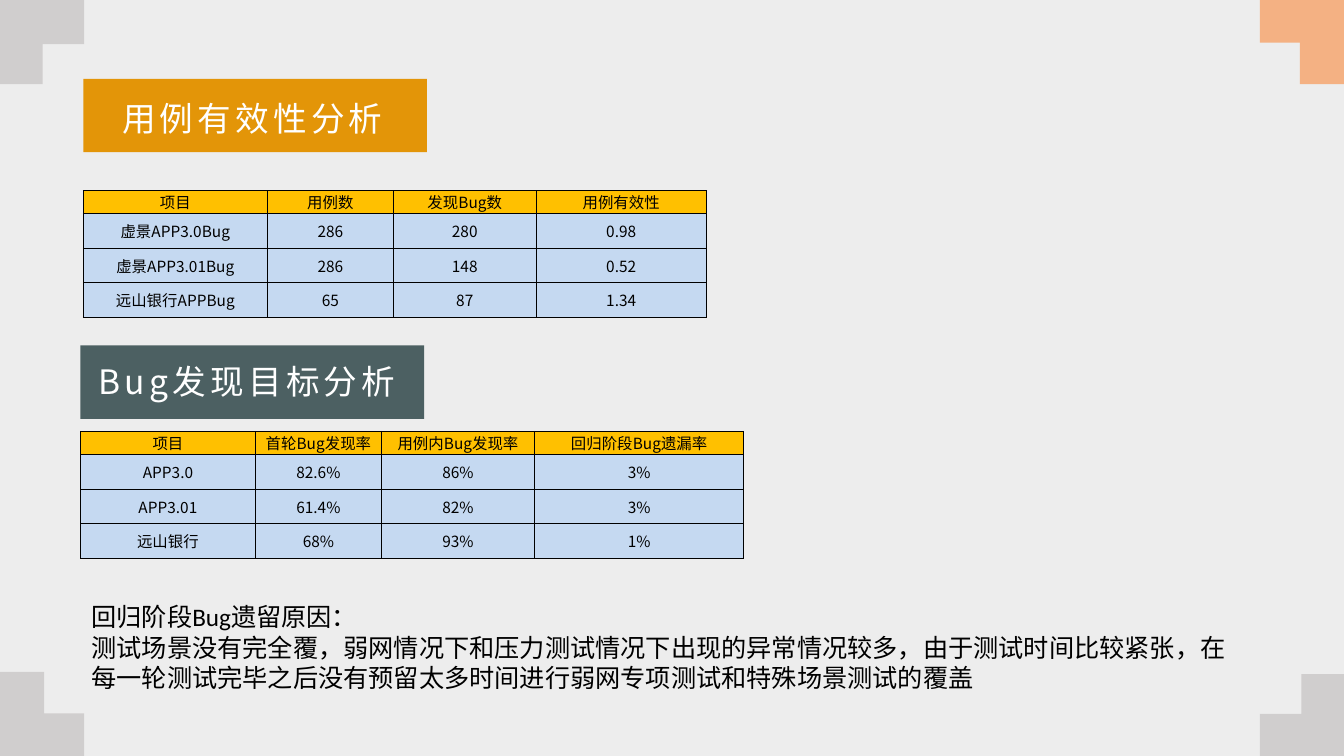
from dataclasses import dataclass

from lxml import etree
from pptx import Presentation
from pptx.dml.color import RGBColor
from pptx.enum.shapes import MSO_SHAPE
from pptx.enum.text import MSO_ANCHOR, MSO_AUTO_SIZE, PP_ALIGN
from pptx.oxml.ns import qn
from pptx.shapes.autoshape import Shape
from pptx.slide import Slide
from pptx.table import _Cell
from pptx.text.text import TextFrame, _Paragraph
from pptx.util import Pt

RECTANGLE = MSO_SHAPE.RECTANGLE
TOP, MIDDLE = MSO_ANCHOR.TOP, MSO_ANCHOR.MIDDLE
LEFT, CENTER = PP_ALIGN.LEFT, PP_ALIGN.CENTER
FIT_SHAPE = MSO_AUTO_SIZE.SHAPE_TO_FIT_TEXT

COLORS = {
    "background": "EDEDED",
    "grey": "D0CECE",
    "peach": "F4B183",
    "orange": "E39508",
    "slate": "4C6062",
    "header": "FFC000",
    "body": "C5D9F1",
    "white": "FFFFFF",
    "black": "000000",
}
CJK_FONT = "Noto Sans CJK SC"
NOTE_FONT = "Calibri"
SLIDE_WIDTH, SLIDE_HEIGHT = 960, 540
CORNER_SIZE = 60
CORNER_OUTLINE = [(0, 0), (31.5, 0), (31.5, 29.5), (60, 29.5), (60, 60), (0, 60)]
BANNER_WIDTH, BANNER_HEIGHT = 245.5, 52.5
HEADING_HEIGHT = 36
HEADER_ROW, BODY_ROW = 16.4, 24.8


@dataclass(frozen=True)
class Corner:
    left: float
    top: float
    quarter_turns: int
    color: str


@dataclass(frozen=True)
class Banner:
    text: str
    left: float
    top: float
    color: str
    text_left: float
    text_top: float
    text_width: float


@dataclass(frozen=True)
class Grid:
    left: float
    top: float
    columns: list[float]
    rows: list[list[str]]


CORNERS = [
    Corner(0, 480, 0, "grey"),
    Corner(0, 0, 1, "grey"),
    Corner(900, 0, 2, "peach"),
    Corner(900, 481.5, 3, "grey"),
]
CASE_BANNER = Banner("用例有效性分析", 59.5, 56.3, "orange", 80, 66, 205)
BUG_BANNER = Banner("Bug发现目标分析", 57.5, 246.8, "slate", 63.4, 254.2, 232.6)
GRIDS = [
    Grid(59.5, 136, [131.5, 90, 102, 121.5], [
        ["项目", "用例数", "发现Bug数", "用例有效性"],
        ["虚景APP3.0Bug", "286", "280", "0.98"],
        ["虚景APP3.01Bug", "286", "148", "0.52"],
        ["远山银行APPBug", "65", "87", "1.34"],
    ]),
    Grid(57.5, 308, [125, 90, 109.4, 149.4], [
        ["项目", "首轮Bug发现率", "用例内Bug发现率", "回归阶段Bug遗漏率"],
        ["APP3.0", "82.6%", "86%", "3%"],
        ["APP3.01", "61.4%", "82%", "3%"],
        ["远山银行", "68%", "93%", "1%"],
    ]),
]
NOTES = [
    "回归阶段Bug遗留原因：",
    "测试场景没有完全覆，弱网情况下和压力测试情况下出现的异常情况较多，由于测试时间比较紧张，"
    "在每一轮测试完毕之后没有预留太多时间进行弱网专项测试和特殊场景测试的覆盖",
]


def rgb(name: str) -> RGBColor:
    return RGBColor.from_string(COLORS[name])


def paint(shape: Shape, color: str) -> None:
    shape.shadow.inherit = False
    shape.fill.solid()
    shape.fill.fore_color.rgb = rgb(color)
    shape.line.fill.background()


def add_run(paragraph: _Paragraph, text: str, size: float, font: str,
            color: str, spacing: float = 0) -> None:
    """Add a run with one font for Latin and Chinese; spacing is in points."""
    run = paragraph.add_run()
    run.text = text
    run.font.size = Pt(size)
    run.font.name = font
    run.font.color.rgb = rgb(color)
    properties = run.font._element
    etree.SubElement(properties, qn("a:ea")).set("typeface", font)
    if spacing:
        properties.set("spc", str(round(spacing * 100)))


def add_corner(slide: Slide, corner: Corner) -> None:
    outline = CORNER_OUTLINE
    for _ in range(corner.quarter_turns):
        outline = [(CORNER_SIZE - y, x) for x, y in outline]
    points = [(Pt(corner.left + x), Pt(corner.top + y)) for x, y in outline]
    builder = slide.shapes.build_freeform(*points[0])
    builder.add_line_segments(points[1:], close=True)
    paint(builder.convert_to_shape(), corner.color)


def add_banner(slide: Slide, banner: Banner) -> None:
    block = slide.shapes.add_shape(RECTANGLE, Pt(banner.left), Pt(banner.top),
                                   Pt(BANNER_WIDTH), Pt(BANNER_HEIGHT))
    paint(block, banner.color)


def fill_heading(heading: Shape, banner: Banner) -> None:
    heading.left, heading.top = Pt(banner.text_left), Pt(banner.text_top)
    heading.width, heading.height = Pt(banner.text_width), Pt(HEADING_HEIGHT)
    frame: TextFrame = heading.text_frame
    frame.word_wrap = False
    frame.auto_size = FIT_SHAPE
    frame.vertical_anchor = TOP
    paragraph = frame.paragraphs[0]
    paragraph.alignment = LEFT
    paragraph.line_spacing = 1.0
    add_run(paragraph, banner.text, 24, CJK_FONT, "white", 3)


def format_cell(cell: _Cell, text: str, fill: str) -> None:
    cell.margin_left = cell.margin_right = cell.margin_top = cell.margin_bottom = 0
    cell.vertical_anchor = MIDDLE
    properties = cell._tc.get_or_add_tcPr()
    for side in ("a:lnL", "a:lnR", "a:lnT", "a:lnB"):
        border = etree.SubElement(properties, qn(side), w=str(Pt(0.5)))
        border_fill = etree.SubElement(border, qn("a:solidFill"))
        etree.SubElement(border_fill, qn("a:srgbClr"), val=COLORS["black"])
    cell.fill.solid()
    cell.fill.fore_color.rgb = rgb(fill)
    paragraph = cell.text_frame.paragraphs[0]
    paragraph.alignment = CENTER
    add_run(paragraph, text, 11, CJK_FONT, "black")


def add_grid(slide: Slide, grid: Grid) -> None:
    heights = [HEADER_ROW] + [BODY_ROW] * (len(grid.rows) - 1)
    table = slide.shapes.add_table(
        len(grid.rows), len(grid.columns), Pt(grid.left), Pt(grid.top),
        Pt(sum(grid.columns)), Pt(sum(heights))).table
    table.first_row = table.horz_banding = False
    for column, width in zip(table.columns, grid.columns):
        column.width = Pt(width)
    for row, height, texts in zip(table.rows, heights, grid.rows):
        row.height = Pt(height)
        fill = "header" if texts is grid.rows[0] else "body"
        for cell, text in zip(row.cells, texts):
            format_cell(cell, text, fill)


def add_notes(slide: Slide) -> None:
    frame = slide.shapes.add_textbox(Pt(58.3), Pt(426.2), Pt(839.5), Pt(72.7)).text_frame
    frame.word_wrap = True
    frame.auto_size = FIT_SHAPE
    for index, text in enumerate(NOTES):
        paragraph = frame.add_paragraph() if index else frame.paragraphs[0]
        add_run(paragraph, text, 18, NOTE_FONT, "black")


def main() -> None:
    presentation = Presentation()
    presentation.slide_width, presentation.slide_height = Pt(SLIDE_WIDTH), Pt(SLIDE_HEIGHT)
    slide = presentation.slides.add_slide(presentation.slide_layouts[5])
    slide.background.fill.solid()
    slide.background.fill.fore_color.rgb = rgb("background")

    for corner in CORNERS:
        add_corner(slide, corner)
    add_banner(slide, CASE_BANNER)
    title = slide.shapes.title
    slide.shapes._spTree.append(title._element)  # bring the title in front of its banner
    fill_heading(title, CASE_BANNER)
    add_banner(slide, BUG_BANNER)
    fill_heading(slide.shapes.add_textbox(0, 0, 0, 0), BUG_BANNER)
    for grid in GRIDS:
        add_grid(slide, grid)
    add_notes(slide)
    presentation.save("out.pptx")


if __name__ == "__main__":
    main()
